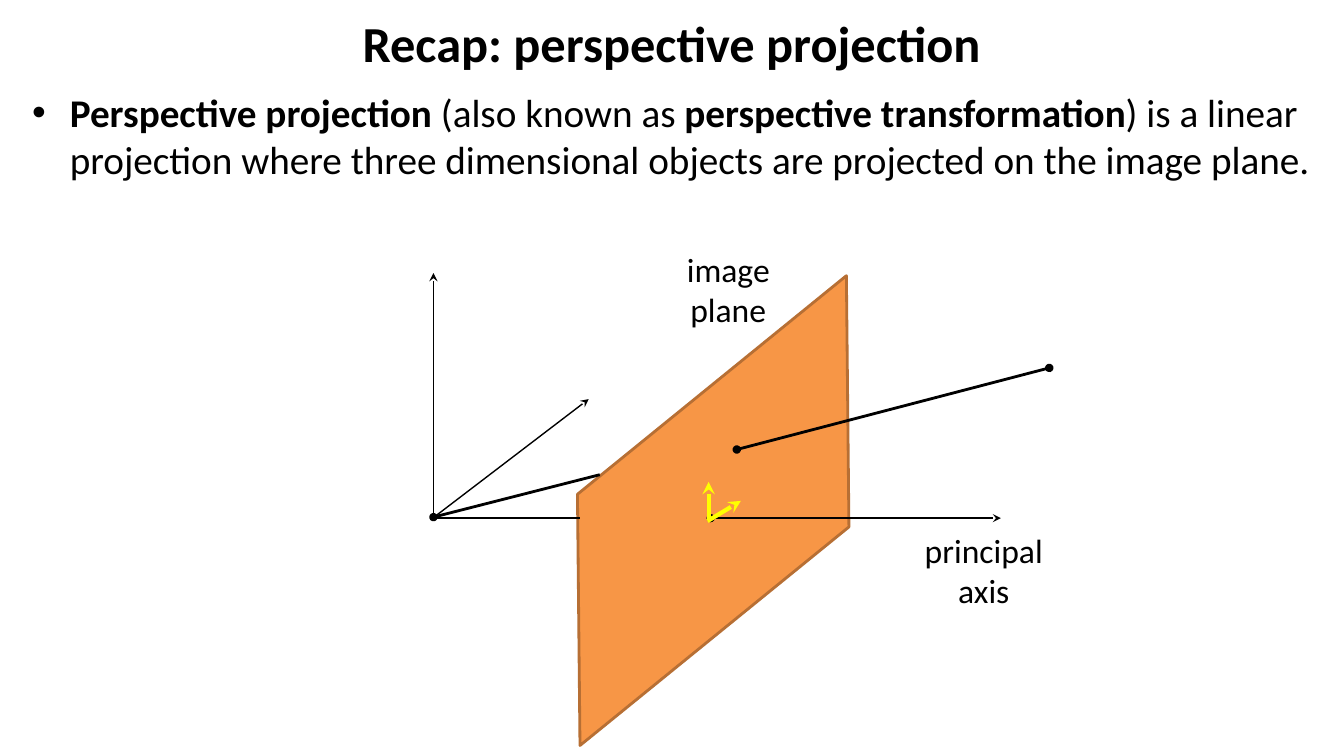
"""Build the perspective projection recap slide."""
import dataclasses

import lxml.etree
import pptx
import pptx.dml.color
import pptx.enum.shapes
import pptx.enum.text
import pptx.oxml.ns
import pptx.util

Pt = pptx.util.Pt
ALIGN = pptx.enum.text.PP_ALIGN
ANCHOR = pptx.enum.text.MSO_ANCHOR


@dataclasses.dataclass(frozen=True)
class Theme:
    font: str = "Calibri"
    ink: str = "000000"
    plane_fill: str = "F79646"
    plane_line: str = "B76F34"
    highlight: str = "FFFF00"
    title_size: int = 36
    body_size: int = 28
    label_size: int = 24
    thin: int = 1
    medium: int = 2
    thick: int = 3


THEME = Theme()
SLIDE_SIZE = (960, 540)
TITLE = [("Recap: perspective projection", True)]
TITLE_BOX = (15.8, 0, 928.1, 59.8)
DEFINITION = [
    ("Perspective projection ", True),
    ("(also known as ", False),
    ("perspective transformation", True),
    (") is a linear projection where three dimensional objects "
     "are projected on the image plane.", False),
]
DEFINITION_BOX = (15.8, 59.8, 928.1, 450)
BULLET_INDENT = 27
LABELS = [
    ("image plane", (482.4, 174.2, 75.6, 64.1)),
    ("principal axis", (644.4, 375.1, 116.6, 64.1)),
]
LABEL_INSET = 2.9
PLANE_BOX = (329.8, 294.5, 359.3, 140.4)
PLANE_ROTATION = 320.9
PLANE_SLANT = 0.796
LINES = [
    ((308.2, 370.1), (414, 370.1), THEME.ink, THEME.thin, None, None),
    ((309.6, 369.4), (309.6, 195.1), THEME.ink, THEME.thin, None, "stealth"),
    ((308.2, 370.8), (420.5, 285.1), THEME.ink, THEME.thin, None, "stealth"),
    ((507.6, 370.1), (715, 370.1), THEME.ink, THEME.thin, "oval", "stealth"),
    ((309.6, 369.4), (428.4, 339.1), THEME.ink, THEME.medium, "oval", None),
    ((526.3, 321.1), (749.5, 262.8), THEME.ink, THEME.medium, "oval", "oval"),
    ((506.2, 370.8), (506.2, 344.2), THEME.highlight, THEME.thick, None, "stealth"),
    ((505.4, 372.2), (529.2, 357.8), THEME.highlight, THEME.thick, None, "stealth"),
]


def color(value):
    return pptx.dml.color.RGBColor.from_string(value)


def add_child(parent, tag, **attributes):
    return lxml.etree.SubElement(parent, pptx.oxml.ns.qn(tag), attributes)


def write_text(shape, runs, size, align=ALIGN.CENTER, anchor=ANCHOR.MIDDLE,
               inset=None, indent=None):
    frame = shape.text_frame
    frame.word_wrap = True
    frame.vertical_anchor = anchor
    if inset is not None:
        frame.margin_left = frame.margin_right = Pt(inset)
        frame.margin_top = frame.margin_bottom = Pt(inset)
    paragraph = frame.paragraphs[0]
    paragraph.alignment = align
    if indent:
        properties = paragraph._p.get_or_add_pPr()
        properties.set("marL", str(Pt(indent)))
        properties.set("indent", str(-Pt(indent)))
        add_child(properties, "a:buFont", typeface="Arial")
        add_child(properties, "a:buChar", char="•")
    for text, bold in runs:
        run = paragraph.add_run()
        run.text = text
        run.font.name = THEME.font
        run.font.size = Pt(size)
        run.font.bold = bold
        run.font.color.rgb = color(THEME.ink)


def add_plane(slide):
    plane = slide.shapes.add_shape(
        pptx.enum.shapes.MSO_SHAPE.PARALLELOGRAM, *map(Pt, PLANE_BOX))
    plane.adjustments[0] = PLANE_SLANT
    plane.rotation = PLANE_ROTATION
    plane.shadow.inherit = False
    plane.fill.solid()
    plane.fill.fore_color.rgb = color(THEME.plane_fill)
    plane.line.color.rgb = color(THEME.plane_line)
    plane.line.width = Pt(THEME.medium)


def add_line(slide, start, end, line_color, width, head, tail):
    connector = slide.shapes.add_connector(
        pptx.enum.shapes.MSO_CONNECTOR.STRAIGHT, *map(Pt, start + end))
    connector.line.color.rgb = color(line_color)
    connector.line.width = Pt(width)
    outline = connector.line._get_or_add_ln()
    for tag, arrow in (("a:headEnd", head), ("a:tailEnd", tail)):
        if arrow:
            add_child(outline, tag, type=arrow)
    add_child(connector._element.spPr, "a:effectLst")


def main():
    presentation = pptx.Presentation()
    presentation.slide_width, presentation.slide_height = map(Pt, SLIDE_SIZE)
    slide = presentation.slides.add_slide(presentation.slide_layouts[5])
    title = slide.shapes.title
    title.left, title.top, title.width, title.height = map(Pt, TITLE_BOX)
    write_text(title, TITLE, THEME.title_size)
    add_plane(slide)
    definition = slide.shapes.add_textbox(*map(Pt, DEFINITION_BOX))
    write_text(definition, DEFINITION, THEME.body_size, align=ALIGN.LEFT,
               anchor=ANCHOR.TOP, indent=BULLET_INDENT)
    for line in LINES:
        add_line(slide, *line)
    for text, box in LABELS:
        label = slide.shapes.add_textbox(*map(Pt, box))
        write_text(label, [(text, False)], THEME.label_size, inset=LABEL_INSET)
    presentation.save("out.pptx")


if __name__ == "__main__":
    main()
